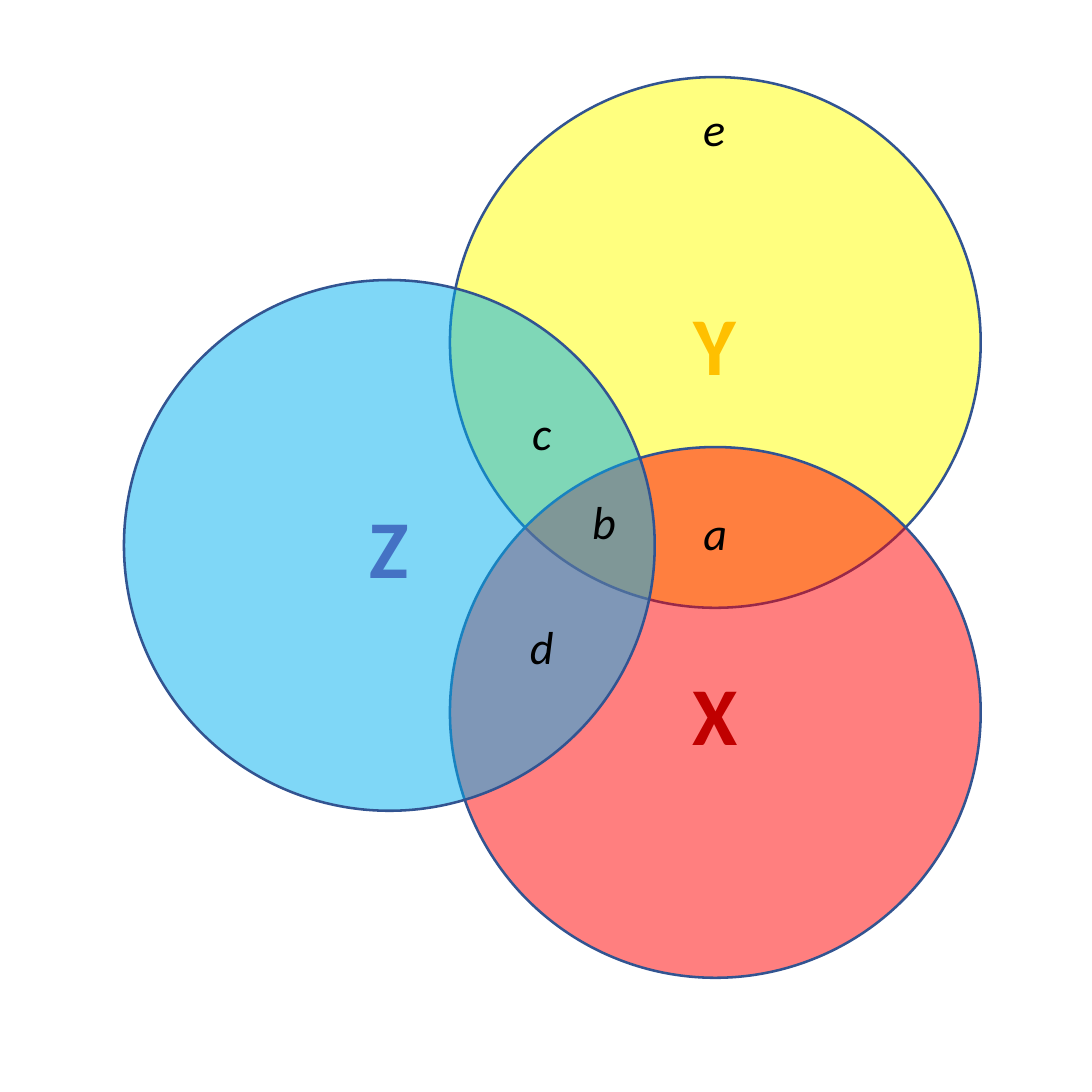
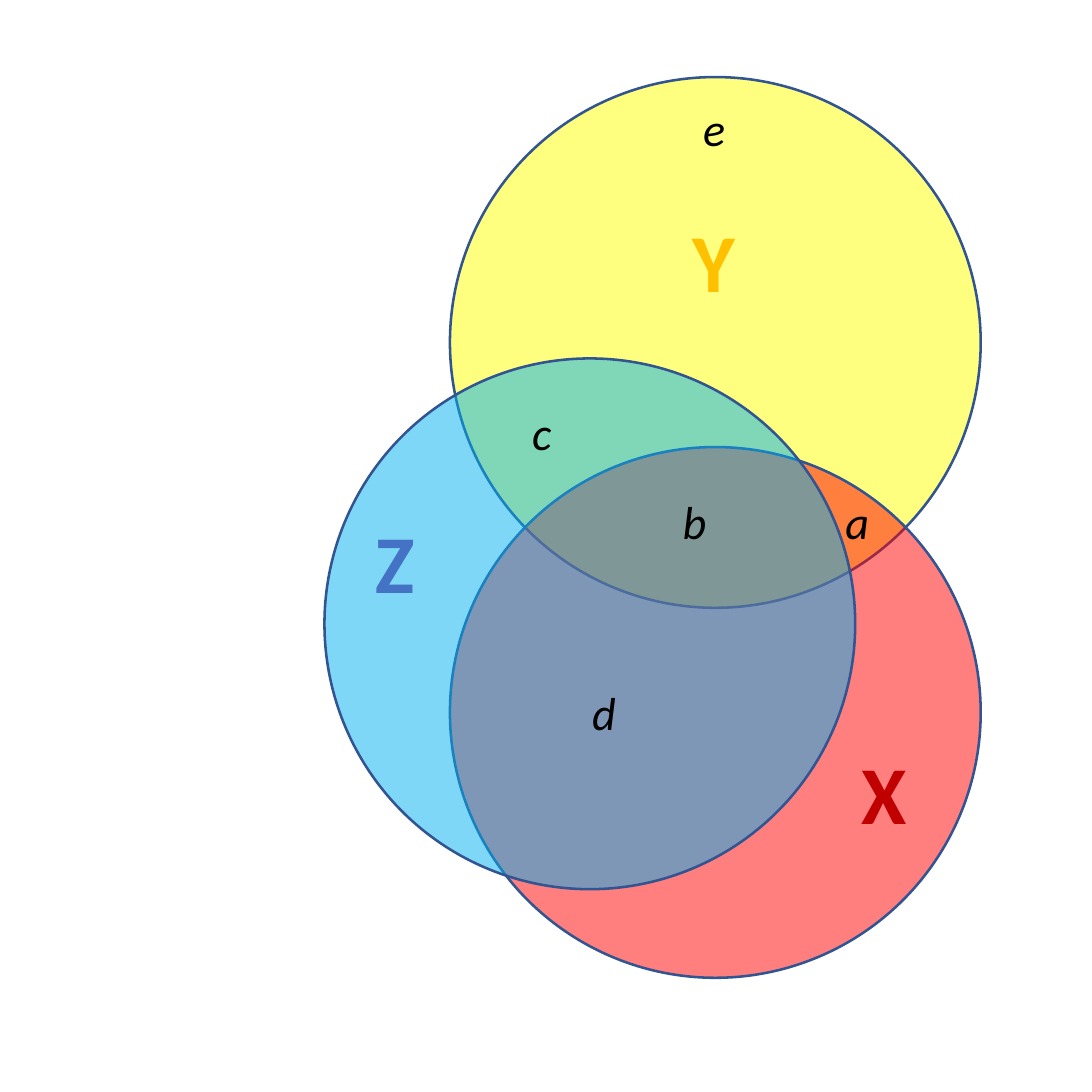
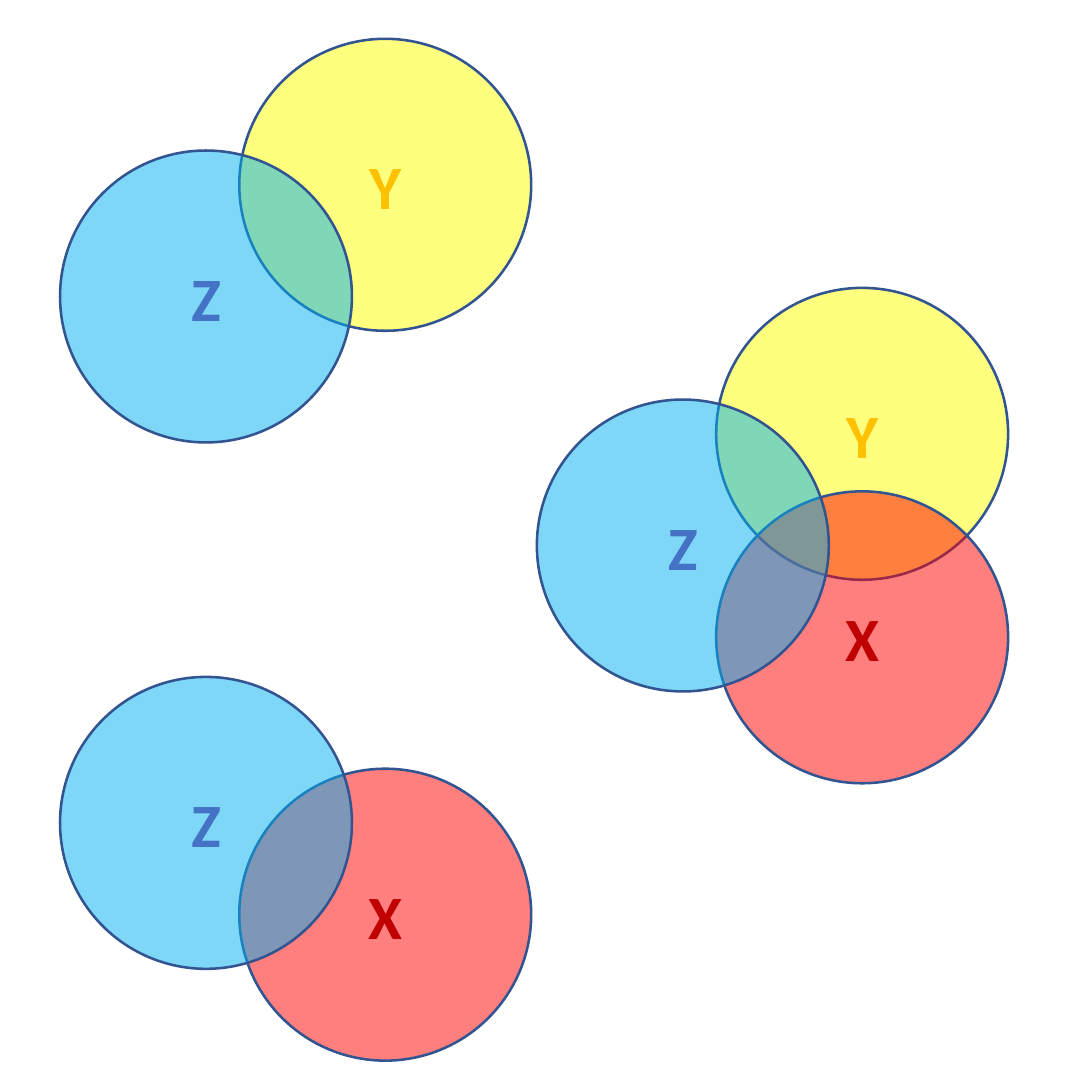
from pptx import Presentation
from pptx.dml.color import RGBColor
from pptx.enum.shapes import MSO_SHAPE as Shape
from pptx.enum.text import MSO_ANCHOR as Anchor, PP_ALIGN as Align
from pptx.oxml.ns import qn
from pptx.util import Inches, Pt
from lxml.etree import SubElement

# Shared look; lengths are percents of the square slide's side
SIDE = Inches(5.91)
UNIT = SIDE / 100
DISC = 48.6
FONT = "Calibri"
EDGE = "325491"
FILL = {"Y": "FFFF00", "X": "FF0000", "Z": "00B0F0"}
INK = {"Y": "FFC000", "X": "C00000", "Z": "4472C4"}
# Steps from the centre of Z at full scale
STEP = {"Y": (29.85, -18.59), "X": (29.85, 15.29), "Z": (0, 0)}


def place(x, y, wide, high):
    """Box centred on x, y."""
    return [round(n * UNIT) for n in (x - wide / 2, y - high / 2, wide, high)]


def write(frame, text, size=18, ink="000000", bold=False, slant=False):
    frame.vertical_anchor = Anchor.MIDDLE
    frame.word_wrap = True
    frame.margin_left = frame.margin_right = 0
    frame.margin_top = frame.margin_bottom = 0
    par = frame.paragraphs[0]
    par.alignment = Align.CENTER
    run = par.add_run()
    run.text = text
    font = run.font
    font.name, font.size = FONT, Pt(size)
    font.bold, font.italic = bold, slant
    font.color.rgb = RGBColor.from_string(ink)


deck = Presentation()
deck.slide_width = deck.slide_height = SIDE
pages = [deck.slides.add_slide(deck.slide_layouts[6]) for _ in range(3)]

# Circle groups: page, circles from back to front, centre of Z, scale,
# shift of Z, letter size (0 for none)
groups = [
    (0, "YXZ", 35.66, 49.95, 1, (0, 0), 32),
    (1, "YXZ", 35.66, 49.95, 1, (18.36, 7.18), 0),
    (2, "YZ", 18.86, 27.15, 0.55, (0, 0), 24),
    (2, "XZ", 18.86, 75.35, 0.55, (0, 0), 24),
    (2, "YXZ", 62.53, 49.95, 0.55, (0, 0), 24),
]
for page, names, x, y, scale, shift, size in groups:
    for name in names:
        dx, dy = shift if name == "Z" else STEP[name]
        box = place(x + dx * scale, y + dy * scale, DISC * scale, DISC * scale)
        disc = pages[page].shapes.add_shape(Shape.OVAL, *box)
        disc.shadow.inherit = False
        disc.fill.solid()
        disc.fill.fore_color.rgb = RGBColor.from_string(FILL[name])
        # Half transparent fill
        tint = disc.fill._xPr.find(qn("a:solidFill"))[0]
        SubElement(tint, qn("a:alpha")).set("val", "50000")
        disc.line.color.rgb = RGBColor.from_string(EDGE)
        disc.line.width = Pt(1)
        if size:
            write(disc.text_frame, name, size=size, ink=INK[name], bold=True)

# Region labels by centre
labels = [
    {"a": (65.5, 48.7), "b": (55.3, 47.7), "c": (49.6, 39.6),
     "d": (49.6, 59.2), "e": (65.4, 11.7)},
    {"a": (78.5, 47.7), "b": (63.6, 47.7), "c": (49.6, 39.6),
     "d": (55.3, 65.2), "e": (65.4, 11.7),
     "X": (81, 72.5), "Z": (36.2, 51.3), "Y": (65.4, 23.8)},
]
for page, marks in zip(pages, labels):
    for name, (x, y) in marks.items():
        big = name in INK
        wide, high = (14, 10.8) if big else (4.8, 5.2)
        frame = page.shapes.add_textbox(*place(x, y, wide, high)).text_frame
        write(frame, name, size=32 if big else 18,
              ink=INK.get(name, "000000"), bold=big, slant=not big)

deck.save("out.pptx")
